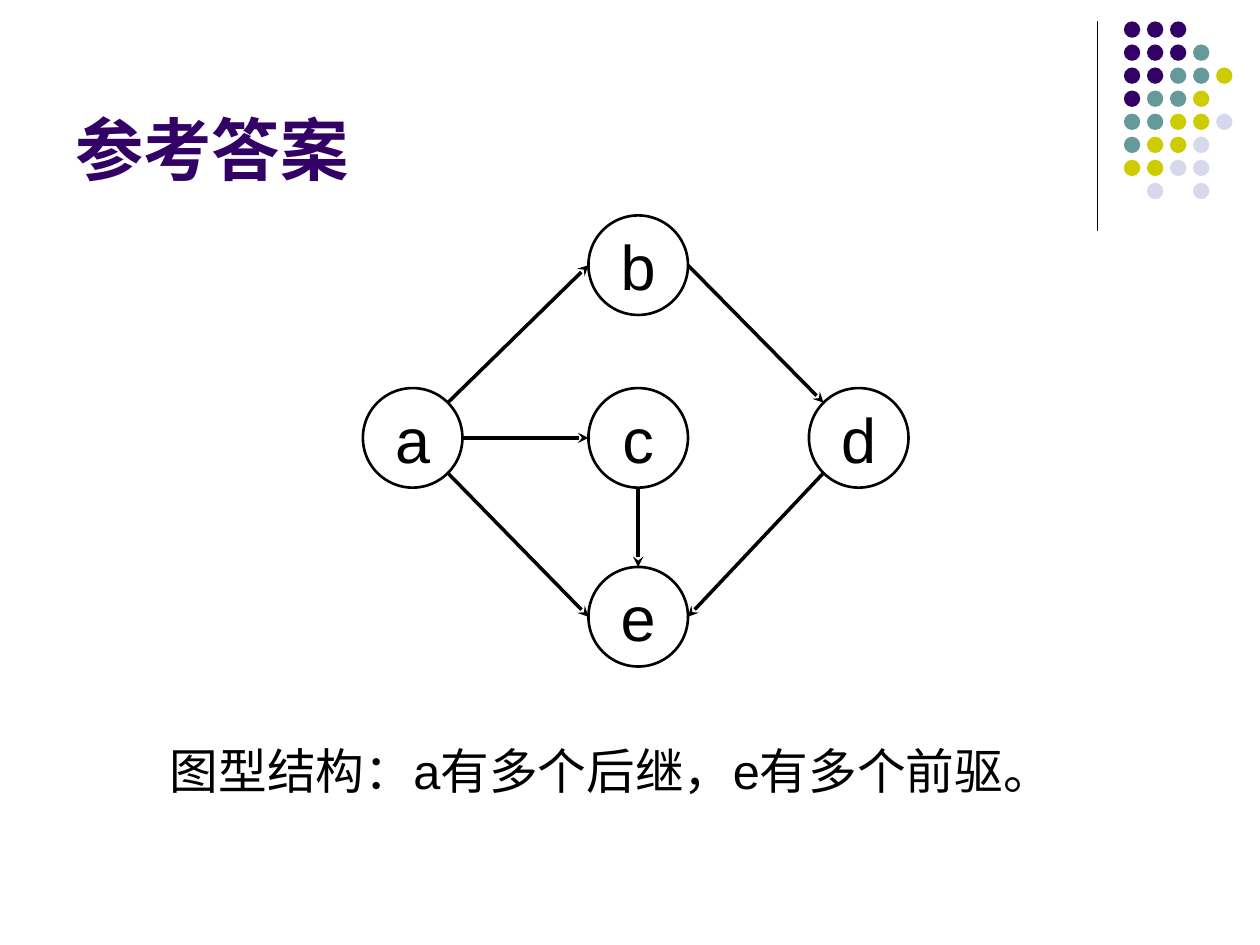
from dataclasses import dataclass
from math import cos, radians, sin

from lxml.etree import SubElement
from pptx import Presentation
from pptx.dml.color import RGBColor
from pptx.enum.shapes import MSO_CONNECTOR, MSO_SHAPE
from pptx.enum.text import MSO_ANCHOR, PP_ALIGN
from pptx.oxml.ns import qn
from pptx.util import Inches, Pt

BLACK = RGBColor(0x00, 0x00, 0x00)
PURPLE = RGBColor(0x33, 0x00, 0x66)
TEAL = RGBColor(0x66, 0x99, 0x99)
LIME = RGBColor(0xCC, 0xCC, 0x00)
PALE = RGBColor(0xD8, 0xD8, 0xEC)

SIZE = 0.79
DOT = 0.13
PITCH = 0.183
HUES = {"P": PURPLE, "T": TEAL, "L": LIME, "W": PALE}
DOTS = ["PPP", "PPPT", "PPTTL", "PTTL", "TTLLW", "TLLW", "LLWW", " W W"]


@dataclass(frozen=True)
class Node:
    name: str
    left: float
    top: float

    def rim(self, angle: float) -> tuple[float, float]:
        half = SIZE / 2
        turn = radians(angle)
        return (self.left + half + half * cos(turn),
                self.top + half - half * sin(turn))


@dataclass(frozen=True)
class Edge:
    start: str
    leave: float
    end: str
    enter: float


@dataclass(frozen=True)
class Label:
    text: str
    box: tuple[float, float, float, float]
    anchor: MSO_ANCHOR
    style: dict


NODES = [
    Node("a", 2.88, 3.08),
    Node("e", 4.67, 4.5),
    Node("d", 6.42, 3.08),
    Node("b", 4.67, 1.71),
    Node("c", 4.67, 3.08),
]
EDGES = [
    Edge("a", 45, "b", 180),
    Edge("a", 0, "c", 180),
    Edge("d", 225, "e", 0),
    Edge("b", 0, "d", 135),
    Edge("a", 315, "e", 180),
    Edge("c", 270, "e", 90),
]
LABELS = [
    Label("图型结构：a有多个后继，e有多个前驱。", (1.25, 5.83, 7.83, 0.75),
          MSO_ANCHOR.TOP, {"size": Pt(27.8), "bold": False}),
    Label("参考答案", (0.5, 0.13, 8.25, 1.42),
          MSO_ANCHOR.BOTTOM, {"size": Pt(39), "bold": True}),
]
NODE_FONT = {"size": Pt(36), "bold": False}


def write(frame, text: str, style: dict, hue: RGBColor) -> None:
    para = frame.paragraphs[0]
    para.text = text
    font = para.runs[0].font
    for key, value in {"name": "Arial", **style}.items():
        setattr(font, key, value)
    font.color.rgb = hue


def draw_line(slide, start: tuple, end: tuple, width: float, arrow: bool) -> None:
    line = slide.shapes.add_connector(
        MSO_CONNECTOR.STRAIGHT, *(Inches(v) for v in (*start, *end)))
    line.line.color.rgb = BLACK
    line.line.width = Pt(width)
    if arrow:
        SubElement(line.line._get_or_add_ln(), qn("a:tailEnd"), type="stealth")
    SubElement(line._element.spPr, qn("a:effectLst"))


def draw_oval(slide, left: float, top: float, size: float):
    oval = slide.shapes.add_shape(
        MSO_SHAPE.OVAL, Inches(left), Inches(top), Inches(size), Inches(size))
    oval.shadow.inherit = False
    return oval


def draw_dots(slide) -> None:
    for row, codes in enumerate(DOTS):
        for col, code in enumerate(codes):
            if code in HUES:
                dot = draw_oval(slide, 8.92 + col * PITCH, 0.17 + row * PITCH, DOT)
                dot.fill.solid()
                dot.fill.fore_color.rgb = HUES[code]
                dot.line.fill.background()


def draw_node(slide, node: Node) -> None:
    oval = draw_oval(slide, node.left, node.top, SIZE)
    oval.fill.background()
    oval.line.color.rgb = BLACK
    oval.line.width = Pt(1.5)
    frame = oval.text_frame
    frame.word_wrap = False
    frame.vertical_anchor = MSO_ANCHOR.MIDDLE
    write(frame, node.name, NODE_FONT, BLACK)
    frame.paragraphs[0].alignment = PP_ALIGN.CENTER


def draw_label(slide, label: Label) -> None:
    frame = slide.shapes.add_textbox(*(Inches(v) for v in label.box)).text_frame
    frame.word_wrap = True
    frame.vertical_anchor = label.anchor
    write(frame, label.text, label.style, PURPLE if label.style["bold"] else BLACK)


def main() -> None:
    """Build the graph answer slide and save it."""
    deck = Presentation()
    deck.slide_width, deck.slide_height = Inches(10), Inches(7.5)
    slide = deck.slides.add_slide(deck.slide_layouts[6])
    draw_line(slide, (8.71, 0.17), (8.71, 1.83), 0.75, False)
    draw_dots(slide)
    for label in LABELS:
        draw_label(slide, label)
    for node in NODES:
        draw_node(slide, node)
    nodes = {node.name: node for node in NODES}
    for edge in EDGES:
        draw_line(slide, nodes[edge.start].rim(edge.leave),
                  nodes[edge.end].rim(edge.enter), 2, True)
    deck.save("out.pptx")


if __name__ == "__main__":
    main()
